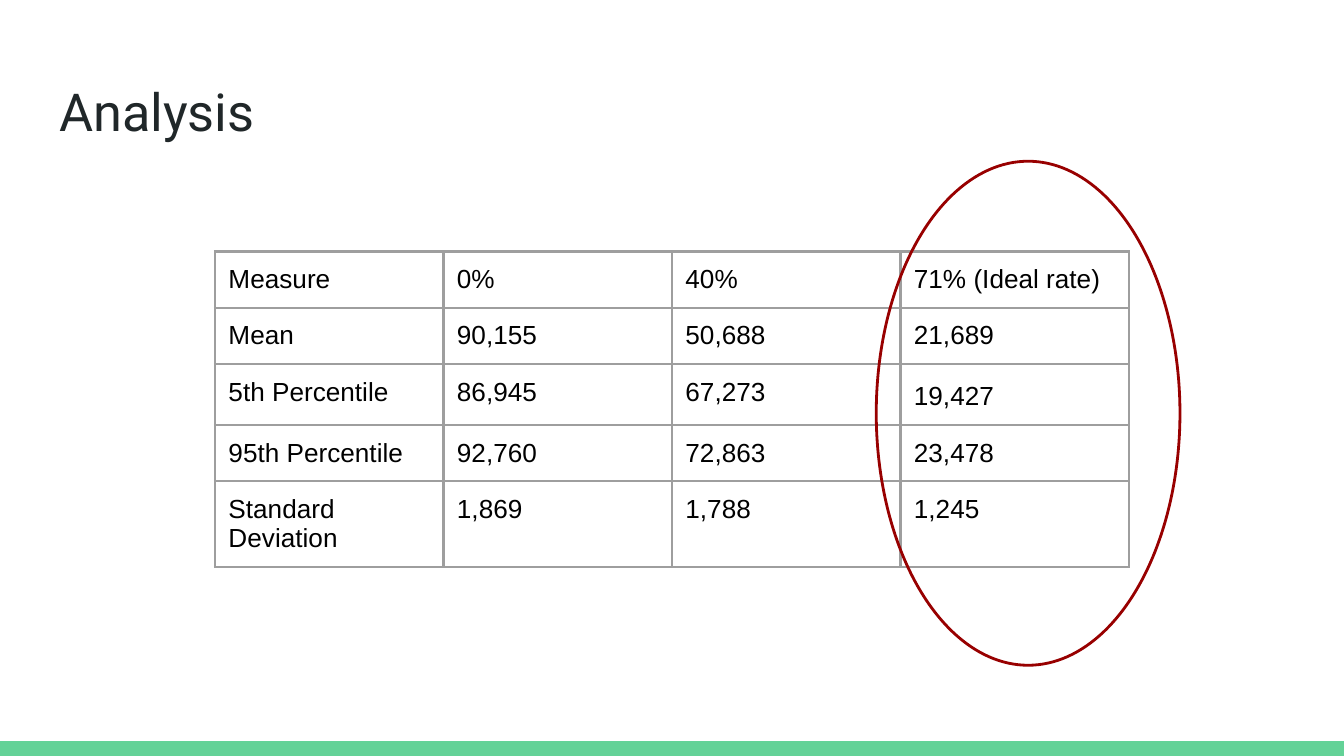
from lxml.etree import SubElement
from pptx import Presentation
from pptx.dml.color import RGBColor
from pptx.enum.shapes import MSO_SHAPE
from pptx.enum.text import MSO_ANCHOR, PP_ALIGN
from pptx.oxml.ns import qn
from pptx.util import Inches, Pt

# Content
TITLE = "Analysis"
ROWS = [
    ("Measure", "0%", "40%", "71% (Ideal rate)"),
    ("Mean", "90,155", "50,688", "21,689"),
    ("5th Percentile", "86,945", "67,273", "19,427"),
    ("95th Percentile", "92,760", "72,863", "23,478"),
    ("Standard Deviation", "1,869", "1,788", "1,245"),
]
LOOSE_CELL = (2, 3)  # row and column of the cell with wider line spacing

# Sizes in inches
SLIDE_WIDTH = 10
SLIDE_HEIGHT = SLIDE_WIDTH * 9 / 16
BAR_HEIGHT = 0.11
COLUMN_WIDTH = 1.7
ROW_HEIGHTS = [0.42, 0.42, 0.43, 0.42, 0.42]
MARGIN = Inches(0.1)

# Colours
WHITE = RGBColor(0xFF, 0xFF, 0xFF)
BLACK = RGBColor(0x00, 0x00, 0x00)
INK = RGBColor(0x20, 0x27, 0x29)
GREEN = RGBColor(0x63, 0xD2, 0x97)
GREY = RGBColor(0x9E, 0x9E, 0x9E)
DARK_RED = RGBColor(0x98, 0x00, 0x00)


def write_text(frame, text, font="Arial", size=14, color=BLACK, spacing=1.0):
    frame.word_wrap = True
    paragraph = frame.paragraphs[0]
    paragraph.alignment = PP_ALIGN.LEFT
    paragraph.line_spacing = spacing
    run = paragraph.add_run()
    run.text = text
    run.font.name = font
    run.font.size = Pt(size)
    run.font.color.rgb = color


def set_margins(holder):
    holder.margin_left = holder.margin_right = MARGIN
    holder.margin_top = holder.margin_bottom = MARGIN
    holder.vertical_anchor = MSO_ANCHOR.TOP


def set_borders(cell, color, width):
    properties = cell._tc.get_or_add_tcPr()
    for position, side in enumerate(("lnL", "lnR", "lnT", "lnB")):
        line = SubElement(properties, qn(f"a:{side}"), w=str(Pt(width)))
        fill = SubElement(line, qn("a:solidFill"))
        SubElement(fill, qn("a:srgbClr"), val=str(color))
        properties.insert(position, line)  # borders come before the fill


def add_plain_shape(slide, kind, left, top, width, height):
    shape = slide.shapes.add_shape(
        kind, Inches(left), Inches(top), Inches(width), Inches(height))
    shape.shadow.inherit = False
    return shape


presentation = Presentation()
presentation.slide_width = Inches(SLIDE_WIDTH)
presentation.slide_height = Inches(SLIDE_HEIGHT)
slide = presentation.slides.add_slide(presentation.slide_layouts[5])
slide.background.fill.solid()
slide.background.fill.fore_color.rgb = WHITE

# Footer bar
bar = add_plain_shape(slide, MSO_SHAPE.RECTANGLE, 0, SLIDE_HEIGHT - BAR_HEIGHT,
                      SLIDE_WIDTH, BAR_HEIGHT)
bar.fill.solid()
bar.fill.fore_color.rgb = GREEN
bar.line.fill.background()

# Title
title = slide.shapes.title
title.left, title.top = Inches(0.34), Inches(0.49)
title.width, title.height = Inches(9.32), Inches(0.63)
set_margins(title.text_frame)
write_text(title.text_frame, TITLE, font="Roboto", size=28, color=INK)

# Table
table = slide.shapes.add_table(
    len(ROWS), len(ROWS[0]), Inches(1.6), Inches(1.87),
    Inches(COLUMN_WIDTH * len(ROWS[0])), Inches(sum(ROW_HEIGHTS))).table
table.first_row = table.horz_banding = False
for column in table.columns:
    column.width = Inches(COLUMN_WIDTH)
for row_index, (height, values) in enumerate(zip(ROW_HEIGHTS, ROWS)):
    table.rows[row_index].height = Inches(height)
    for column_index, value in enumerate(values):
        cell = table.cell(row_index, column_index)
        set_margins(cell)
        cell.fill.background()
        set_borders(cell, GREY, 1.5)
        loose = (row_index, column_index) == LOOSE_CELL
        write_text(cell.text_frame, value, spacing=1.15 if loose else 1.0)

# Ring around the ideal rate
ring = add_plain_shape(slide, MSO_SHAPE.OVAL, 6.52, 1.2, 2.26, 3.75)
ring.fill.background()
ring.line.color.rgb = DARK_RED
ring.line.width = Pt(1.5)

presentation.save("out.pptx")
